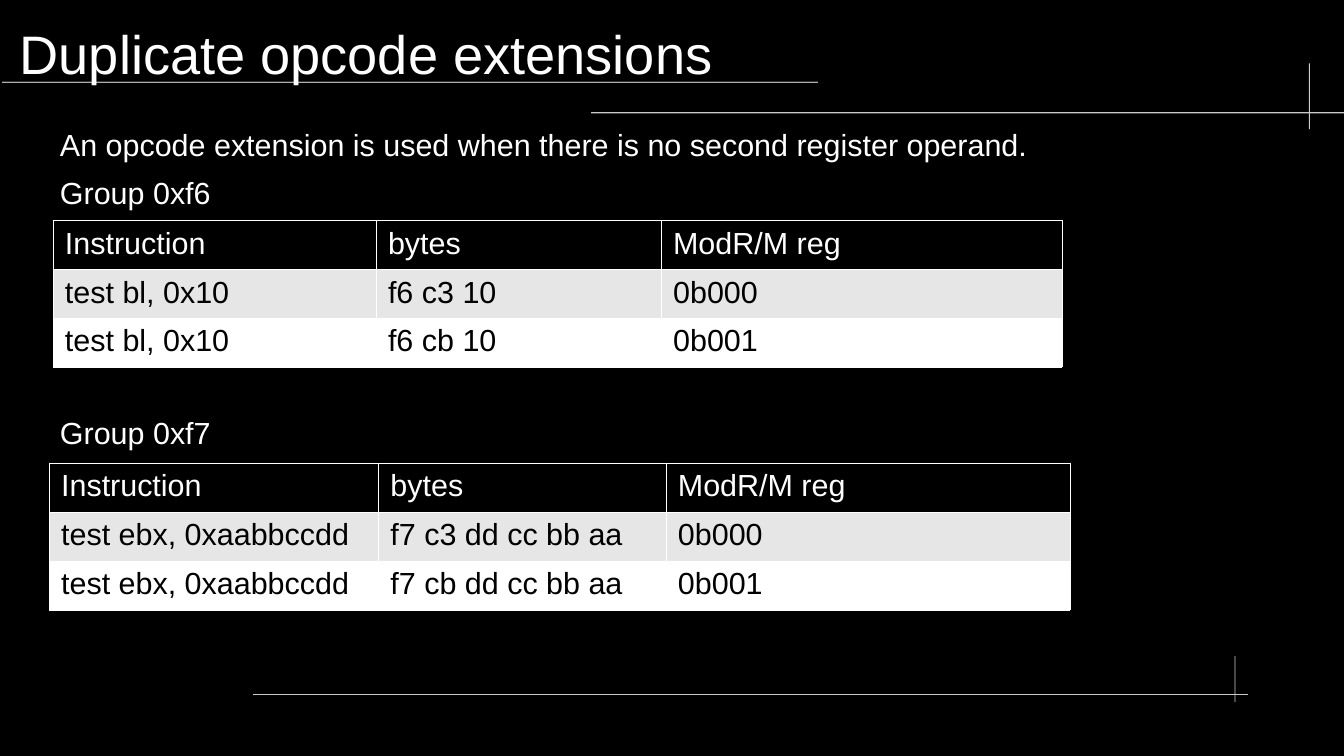
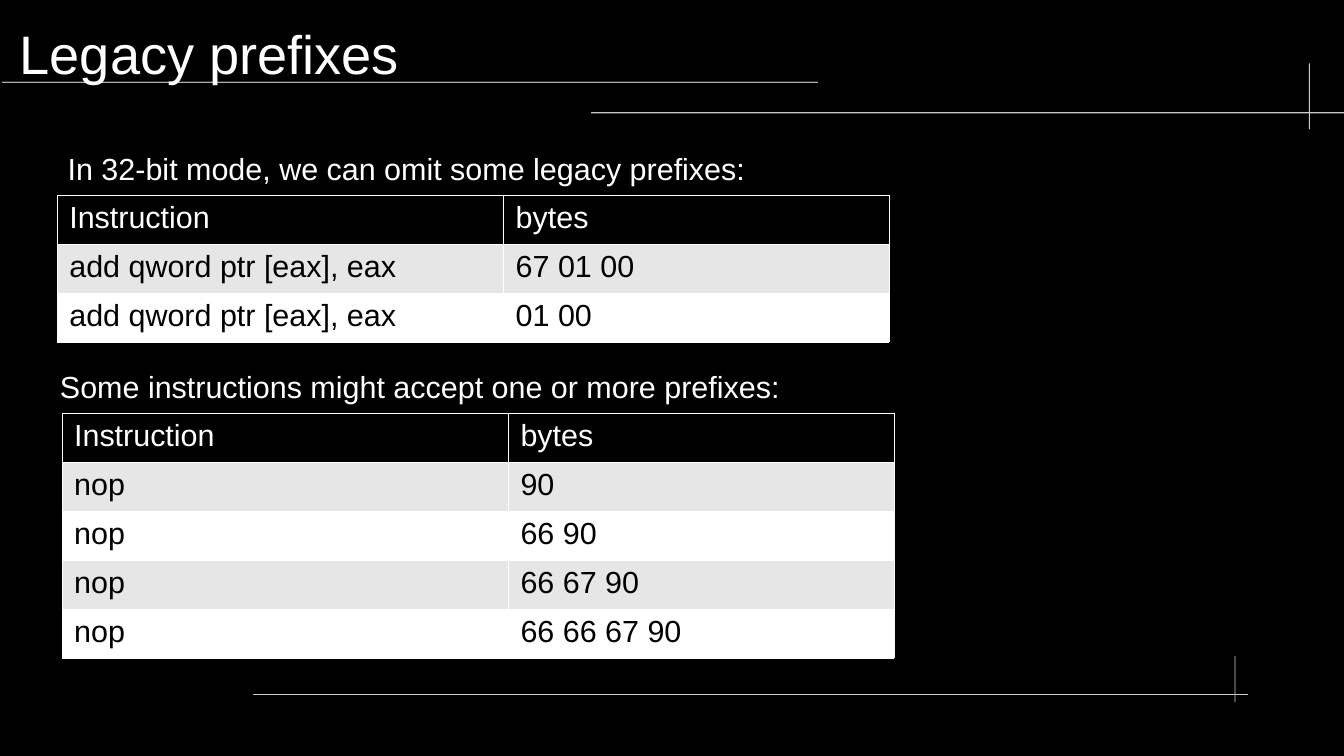
"""Build two slides on opcode extensions and legacy prefixes."""
from dataclasses import dataclass

from lxml import etree
from pptx import Presentation
from pptx.dml.color import RGBColor
from pptx.enum import shapes, text
from pptx.oxml import ns
from pptx.util import Cm, Pt


@dataclass(frozen=True)
class Theme:
    font: str = "Arial"
    title_size: int = 32
    text_size: int = 18
    back: str = "000000"
    ink: str = "FFFFFF"
    cell_ink: str = "000000"
    stripes: tuple = ("E6E6E6", "FFFFFF")
    light: str = "CCCCCC"
    dark: str = "333333"
    border: float = 0.06


THEME = Theme()
SLIDE_SIZE = (28, 15.75)
TITLE_AT = (0.41, 0.2, 26.49, 1.8)
ROW_HEIGHT = 1.02
CAPTION_HEIGHT = 0.97

BANDS = [
    ((0.05, 1.68, 17, 0.05), THEME.light, THEME.dark),
    ((12.32, 2.34, 15.68, 0.03), THEME.dark, THEME.light),
    ((5.28, 14.45, 20.73, 0.03), THEME.dark, THEME.light),
]
TICKS = [(27.27, 1.32, 0.02, 1.37), (25.72, 13.67, 0.02, 0.96)]

OPCODE_HEAD = ("Instruction", "bytes", "ModR/M reg")
PREFIX_HEAD = ("Instruction", "bytes")
PREFIX_COLUMNS = (9.3, 8.03)

SLIDES = [
    {
        "title": "Duplicate opcode extensions",
        "captions": [
            ("An opcode extension is used when there is no second register operand.",
             1, 2.5, 21.2),
            ("Group 0xf6", 1, 3.51, 4),
            ("Group 0xf7", 1, 8.51, 4),
        ],
        "tables": [
            (1.1, 4.59, (6.73, 5.94, 8.36), [
                OPCODE_HEAD,
                ("test bl, 0x10", "f6 c3 10", "0b000"),
                ("test bl, 0x10", "f6 cb 10", "0b001"),
            ]),
            (1.02, 9.64, (6.86, 5.99, 8.43), [
                OPCODE_HEAD,
                ("test ebx, 0xaabbccdd", "f7 c3 dd cc bb aa", "0b000"),
                ("test ebx, 0xaabbccdd", "f7 cb dd cc bb aa", "0b001"),
            ]),
        ],
    },
    {
        "title": "Legacy prefixes",
        "captions": [
            ("In 32-bit mode, we can omit some legacy prefixes:", 1.16, 3, 17.83),
            ("Some instructions might accept one or more prefixes:", 1, 7.54, 17.83),
        ],
        "tables": [
            (1.19, 4.06, PREFIX_COLUMNS, [
                PREFIX_HEAD,
                ("add qword ptr [eax], eax", "67 01 00"),
                ("add qword ptr [eax], eax", "01 00"),
            ]),
            (1.29, 8.6, PREFIX_COLUMNS, [
                PREFIX_HEAD,
                ("nop", "90"),
                ("nop", "66 90"),
                ("nop", "66 67 90"),
                ("nop", "66 66 67 90"),
            ]),
        ],
    },
]


def rgb(value):
    return RGBColor.from_string(value)


def write(frame, words, size, color):
    frame.text = words
    para = frame.paragraphs[0]
    para.alignment = text.PP_ALIGN.LEFT
    for span in para.runs:
        span.font.name = THEME.font
        span.font.size = Pt(size)
        span.font.color.rgb = rgb(color)


def add_bar(page, kind, place):
    bar = page.shapes.add_shape(kind, *map(Cm, place))
    bar.shadow.inherit = False
    bar.line.fill.background()
    return bar


def draw_frame_lines(page):
    bars = []
    for place, first, last in BANDS:
        band = add_bar(page, shapes.MSO_SHAPE.ROUNDED_RECTANGLE, place)
        band.adjustments[0] = 0.5
        band.fill.gradient()
        band.fill.gradient_angle = 90
        for stop, color in zip(band.fill.gradient_stops, (first, last)):
            stop.color.rgb = rgb(color)
        bars.append(band)
    for place in TICKS:
        tick = add_bar(page, shapes.MSO_SHAPE.RECTANGLE, place)
        tick.fill.solid()
        tick.fill.fore_color.rgb = rgb(THEME.light)
        bars.append(tick)
    return bars


def style_layout(layout, scratch_page):
    layout.background.fill.solid()
    layout.background.fill.fore_color.rgb = rgb(THEME.back)
    title = layout.placeholders[0]
    title.left, title.top, title.width, title.height = map(Cm, TITLE_AT)
    for bar in draw_frame_lines(scratch_page):
        layout.shapes.element.append(bar.element)


def set_title(page, words):
    frame = page.shapes.title.text_frame
    frame.margin_left = frame.margin_right = frame.margin_top = frame.margin_bottom = 0
    frame.vertical_anchor = text.MSO_ANCHOR.MIDDLE
    frame.auto_size = text.MSO_AUTO_SIZE.SHAPE_TO_FIT_TEXT
    write(frame, words, THEME.title_size, THEME.ink)


def add_caption(page, words, left, top, width):
    box = page.shapes.add_textbox(Cm(left), Cm(top), Cm(width), Cm(CAPTION_HEIGHT))
    box.text_frame.word_wrap = True
    write(box.text_frame, words, THEME.text_size, THEME.ink)


def add_borders(cell):
    props = cell._tc.get_or_add_tcPr()
    for index, side in enumerate(("lnL", "lnR", "lnT", "lnB")):
        line = etree.Element(ns.qn(f"a:{side}"), w=str(int(Pt(THEME.border))))
        fill = etree.SubElement(line, ns.qn("a:solidFill"))
        etree.SubElement(fill, ns.qn("a:srgbClr"), val=THEME.ink)
        props.insert(index, line)


def add_grid(page, left, top, widths, rows):
    table = page.shapes.add_table(
        len(rows), len(widths), Cm(left), Cm(top),
        Cm(sum(widths)), Cm(ROW_HEIGHT * len(rows))).table
    table.first_row = table.horz_banding = False
    for column, width in zip(table.columns, widths):
        column.width = Cm(width)
    for r, row in enumerate(rows):
        table.rows[r].height = Cm(ROW_HEIGHT)
        paint = THEME.stripes[(r - 1) % 2] if r else THEME.back
        for c, words in enumerate(row):
            cell = table.cell(r, c)
            cell.fill.solid()
            cell.fill.fore_color.rgb = rgb(paint)
            write(cell.text_frame, words, THEME.text_size,
                  THEME.cell_ink if r else THEME.ink)
            add_borders(cell)


def main():
    deck = Presentation()
    deck.slide_width, deck.slide_height = map(Cm, SLIDE_SIZE)
    layout = deck.slide_layouts.get_by_name("Title Only")
    pages = [deck.slides.add_slide(layout) for _ in SLIDES]
    style_layout(layout, pages[0])
    for page, content in zip(pages, SLIDES):
        set_title(page, content["title"])
        for table in content["tables"]:
            add_grid(page, *table)
        for caption in content["captions"]:
            add_caption(page, *caption)
    deck.save("out.pptx")


if __name__ == "__main__":
    main()
